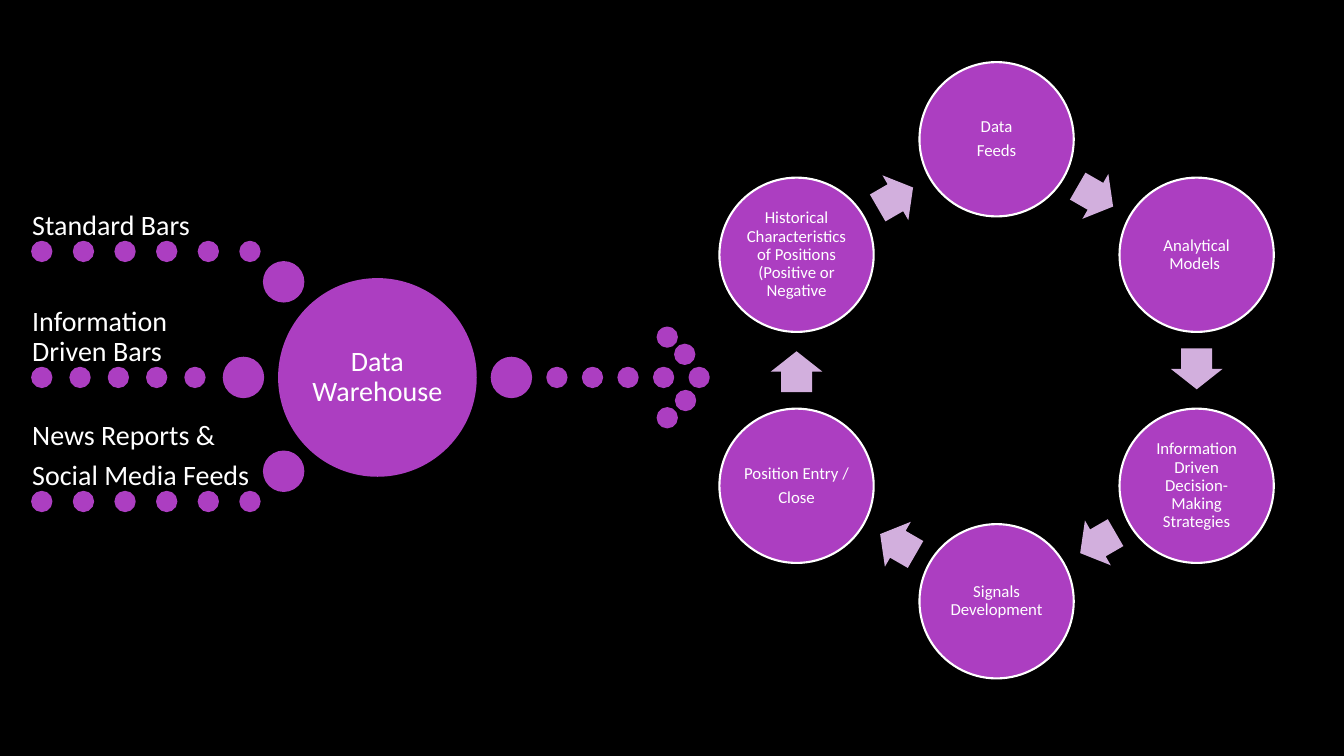
import math

from pptx import Presentation
from pptx import util as u
from pptx.dml import color
from pptx.enum import shapes, text

PURPLE, LILAC, WHITE, BLACK = "AC3EC1", "D2AFDD", "FFFFFF", "000000"
DOT, KNOB, HUB, NODE = 13.7, 28.1, 140.4, 110.2
STAGES = [
    ["Data", "Feeds"],
    ["Analytical Models "],
    ["Information Driven Decision-Making Strategies"],
    ["Signals Development"],
    ["Position Entry / ", "Close"],
    ["Historical Characteristics of Positions (Positive or Negative"],
]


def paint(fill, shade):
    """Fill an area with one hex colour."""
    fill.solid()
    fill.fore_color.rgb = color.RGBColor.from_string(shade)


def write(box, lines, size, inset, align, anchor):
    """Set white paragraphs in a shape, with equal insets on all sides."""
    frame = box.text_frame
    frame.word_wrap = True
    frame.vertical_anchor = anchor
    frame.margin_left = frame.margin_right = u.Pt(inset)
    frame.margin_top = frame.margin_bottom = u.Pt(inset)
    for index, line in enumerate(lines):
        para = frame.add_paragraph() if index else frame.paragraphs[0]
        para.text = line
        para.alignment = align
        para.line_spacing = 0.9
        para.space_after = u.Pt(size * 0.35)
        para.font.size = u.Pt(size)
        para.font.name = "Calibri"
        para.font.color.rgb = color.RGBColor.from_string(WHITE)


def centred(page, kind, x, y, width, height, shade):
    """Add a flat shape around a centre point."""
    box = page.shapes.add_shape(kind, u.Pt(x - width / 2), u.Pt(y - height / 2),
                                u.Pt(width), u.Pt(height))
    box.shadow.inherit = False
    paint(box.fill, shade)
    return box


def circle(page, x, y, size, outline=PURPLE):
    """Add a purple disc around a centre point."""
    disc = centred(page, shapes.MSO_SHAPE.OVAL, x, y, size, size, PURPLE)
    paint(disc.line.fill, outline)
    disc.line.width = u.Pt(1.5)
    return disc


def feed(page, left, y, width, count, lines):
    """Draw a row of dots across the width, with its label standing on it."""
    pitch = (width - DOT) / (count - 1)
    for index in range(count):
        circle(page, left + DOT / 2 + index * pitch, y, DOT)
    label = page.shapes.add_textbox(u.Pt(left), u.Pt(y - DOT / 2 - 36),
                                    u.Pt(width), u.Pt(36))
    write(label, lines, 20, 0, text.PP_ALIGN.LEFT, text.MSO_ANCHOR.BOTTOM)


def warehouse(page, left, middle):
    """Draw the feeds, the hub they flow into and the dotted arrow out."""
    feed(page, left, middle - 90, 162.4, 6, ["Standard Bars"])
    feed(page, left, middle, 123.1, 5, ["Information Driven Bars"])
    feed(page, left, middle + 88.6, 162.4, 6, ["News Reports &", "Social Media Feeds"])
    hub_x = left + 246.6
    hub = circle(page, hub_x, middle, HUB)
    write(hub, ["Data Warehouse"], 20, 2, text.PP_ALIGN.CENTER, text.MSO_ANCHOR.MIDDLE)
    for x, y in [(-67, -68.3), (-95.7, 0), (-67, 67), (95.7, 0)]:
        circle(page, hub_x + x, middle + y, KNOB)
    tip = left + 476.4
    for index in range(5):
        circle(page, tip - index * 25.4, middle, DOT)
    for x, y in [(-22.8, -28.8), (-10.3, -16.5), (-9.7, 16.5), (-22.8, 28.8)]:
        circle(page, tip + x, middle + y, DOT)


def cycle(page, left, top, radius):
    """Draw the stages clockwise from the top, with arrows between them."""
    x = left + radius * math.cos(math.pi / 6) + NODE / 2
    y = top + radius + NODE / 2
    for index, lines in enumerate(STAGES):
        angle = math.radians(index * 60)
        stage = circle(page, x + radius * math.sin(angle),
                       y - radius * math.cos(angle), NODE, WHITE)
        write(stage, lines, 12, 1.2, text.PP_ALIGN.CENTER, text.MSO_ANCHOR.MIDDLE)
        turn = math.radians(index * 60 + 30)
        reach = radius * math.cos(math.pi / 6)
        arrow = centred(page, shapes.MSO_SHAPE.RIGHT_ARROW,
                        x + reach * math.sin(turn) - math.cos(turn),
                        y - reach * math.cos(turn) - math.sin(turn),
                        29.2, 37, LILAC)
        arrow.line.fill.background()
        arrow.adjustments[0] = 0.6
        arrow.adjustments[1] = 0.5
        arrow.rotation = index * 60 + 30


def main():
    """Build the slide and save it."""
    deck = Presentation()
    deck.slide_width, deck.slide_height = u.Pt(960), u.Pt(540)
    page = deck.slides.add_slide(deck.slide_layouts[6])
    paint(page.background.fill, BLACK)
    warehouse(page, 23, 269.6)
    cycle(page, 513.9, 44.4, 165)
    deck.save("out.pptx")


if __name__ == "__main__":
    main()
